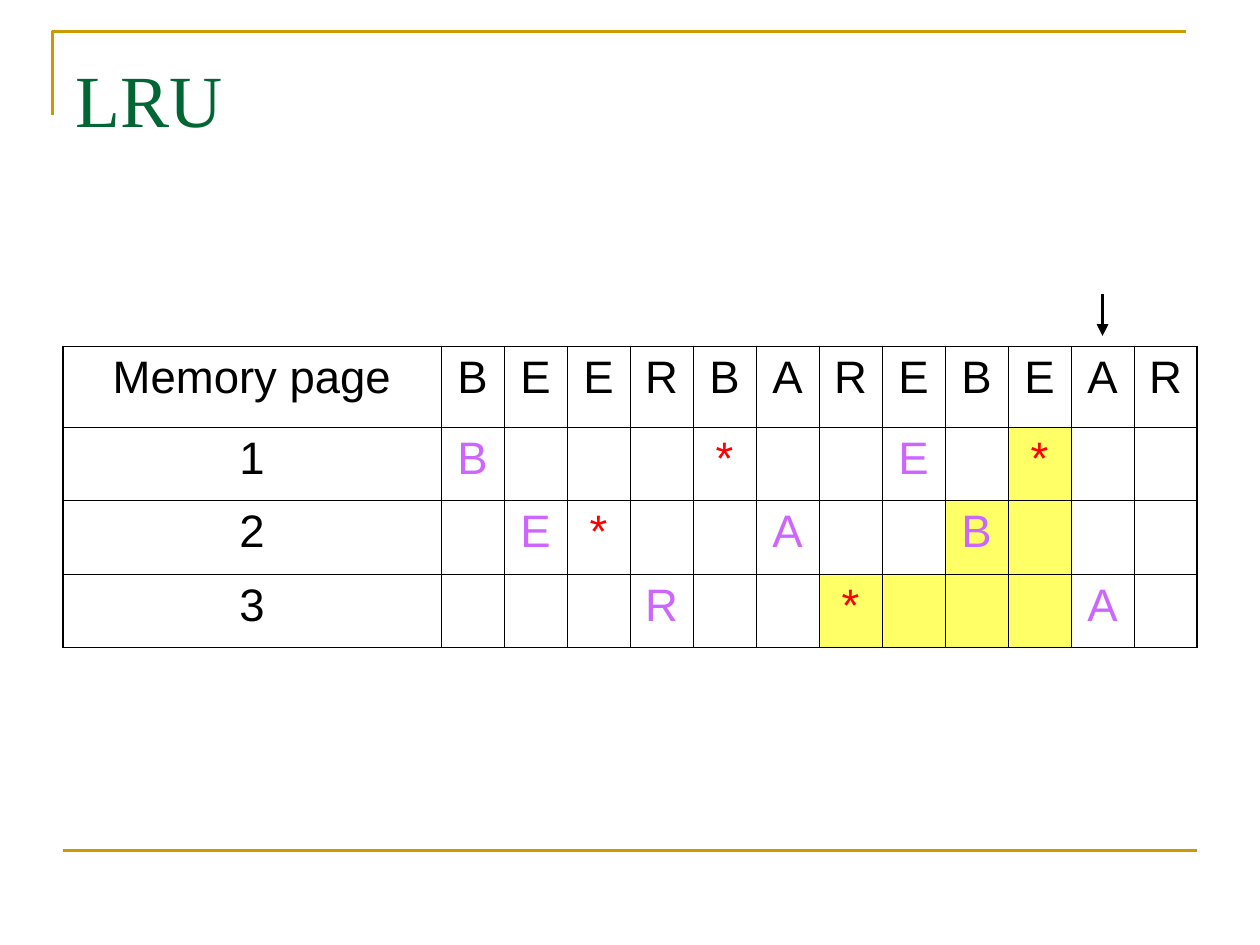
from lxml import etree
from pptx import Presentation
from pptx.dml.color import RGBColor
from pptx.enum import shapes, text
from pptx.oxml import ns
from pptx.util import Pt

GOLD = RGBColor(0xCC, 0x99, 0x00)
GREEN = RGBColor(0x00, 0x66, 0x33)
BLACK = RGBColor(0x00, 0x00, 0x00)
VIOLET = RGBColor(0xCC, 0x66, 0xFF)
RED = RGBColor(0xFF, 0x00, 0x00)
YELLOW = RGBColor(0xFF, 0xFF, 0x66)

LEFT, WIDTH = 36, 648
TABLE_TOP = 198
LABEL_W, REQUEST_W = 216, 36
ROW_HEIGHTS = [46, 42, 42, 42]
INNER, OUTER = 0.45, 1.08

REQUESTS = "BEERBAREBEAR"
# One character per request; a dot leaves the cell empty.
PAGES = ["B...*..E.*..", ".E*..A..B...", "...R..*...A."]
# (row, first column, last column) of the highlighted cells
HIGHLIGHTS = [(1, 10, 10), (2, 9, 10), (3, 7, 10)]
CURRENT_REQUEST = 10


def add_run(p, value, size, font, color):
    r = p.add_run()
    r.text = value
    r.font.size = Pt(size)
    r.font.name = font
    r.font.color.rgb = color


def add_title(s, value):
    sp = s.shapes.title
    sp.left, sp.top, sp.width, sp.height = Pt(LEFT), Pt(21.6), Pt(WIDTH), Pt(90)
    tf = sp.text_frame
    tf.vertical_anchor = text.MSO_ANCHOR.TOP
    tf.margin_top = Pt(9)
    p = tf.paragraphs[0]
    p.alignment = text.PP_ALIGN.LEFT
    add_run(p, value, 42, "Times New Roman", GREEN)


def add_corner(s):
    fb = s.shapes.build_freeform(Pt(30), Pt(66))
    fb.add_line_segments([(Pt(30), Pt(18)), (Pt(678), Pt(18))], close=False)
    sp = fb.convert_to_shape()
    sp.shadow.inherit = False
    sp.fill.background()
    sp.line.color.rgb = GOLD
    sp.line.width = Pt(1.5)


def add_line(s, x1, y1, x2, y2, color, width, arrow=False):
    c = s.shapes.add_connector(shapes.MSO_CONNECTOR.STRAIGHT, Pt(x1), Pt(y1), Pt(x2), Pt(y2))
    c.line.color.rgb = color
    c.line.width = Pt(width)
    if arrow:
        etree.SubElement(c.line._get_or_add_ln(), ns.qn("a:tailEnd"), type="triangle")
    etree.SubElement(c._element.spPr, ns.qn("a:effectLst"))


def set_borders(cell, widths):
    """Draw black borders; widths are left, right, top, bottom."""
    tc_pr = cell._tc.get_or_add_tcPr()
    for side, width in zip("LRTB", widths):
        ln = etree.SubElement(tc_pr, ns.qn(f"a:ln{side}"), w=str(Pt(width)))
        fill = etree.SubElement(ln, ns.qn("a:solidFill"))
        etree.SubElement(fill, ns.qn("a:srgbClr"), val=str(BLACK))


def text_color(value, row, col):
    if row == 0 or col == 0:
        return BLACK
    return RED if value == "*" else VIOLET


def add_page_table(s):
    rows = [["Memory page", *REQUESTS]]
    rows += [[str(i), *marks] for i, marks in enumerate(PAGES, 1)]
    n_rows, n_cols = len(rows), len(rows[0])
    table = s.shapes.add_table(n_rows, n_cols, Pt(LEFT), Pt(TABLE_TOP),
                               Pt(WIDTH), Pt(sum(ROW_HEIGHTS))).table
    table.first_row = table.horz_banding = False
    for i, column in enumerate(table.columns):
        column.width = Pt(REQUEST_W if i else LABEL_W)
    for row, height in zip(table.rows, ROW_HEIGHTS):
        row.height = Pt(height)

    highlighted = {(r, c) for r, first, last in HIGHLIGHTS for c in range(first, last + 1)}
    for i, values in enumerate(rows):
        for j, value in enumerate(values):
            cell = table.cell(i, j)
            edges = (j == 0, j == n_cols - 1, i == 0, i == n_rows - 1)
            set_borders(cell, [OUTER if edge else INNER for edge in edges])
            if (i, j) in highlighted:
                cell.fill.solid()
                cell.fill.fore_color.rgb = YELLOW
            else:
                cell.fill.background()
            if value != ".":
                p = cell.text_frame.paragraphs[0]
                p.alignment = text.PP_ALIGN.CENTER
                add_run(p, value, 26, "Arial", text_color(value, i, j))


def main():
    prs = Presentation()
    prs.slide_width, prs.slide_height = Pt(720), Pt(540)
    s = prs.slides.add_slide(prs.slide_layouts[5])
    add_corner(s)
    add_line(s, LEFT, 486, LEFT + WIDTH, 486, GOLD, 1.5)
    add_title(s, "LRU")
    add_page_table(s)
    x = LEFT + LABEL_W + (CURRENT_REQUEST + 0.5) * REQUEST_W
    add_line(s, x, TABLE_TOP - 30, x, TABLE_TOP - 6, BLACK, 2.25, arrow=True)
    prs.save("out.pptx")


if __name__ == "__main__":
    main()
